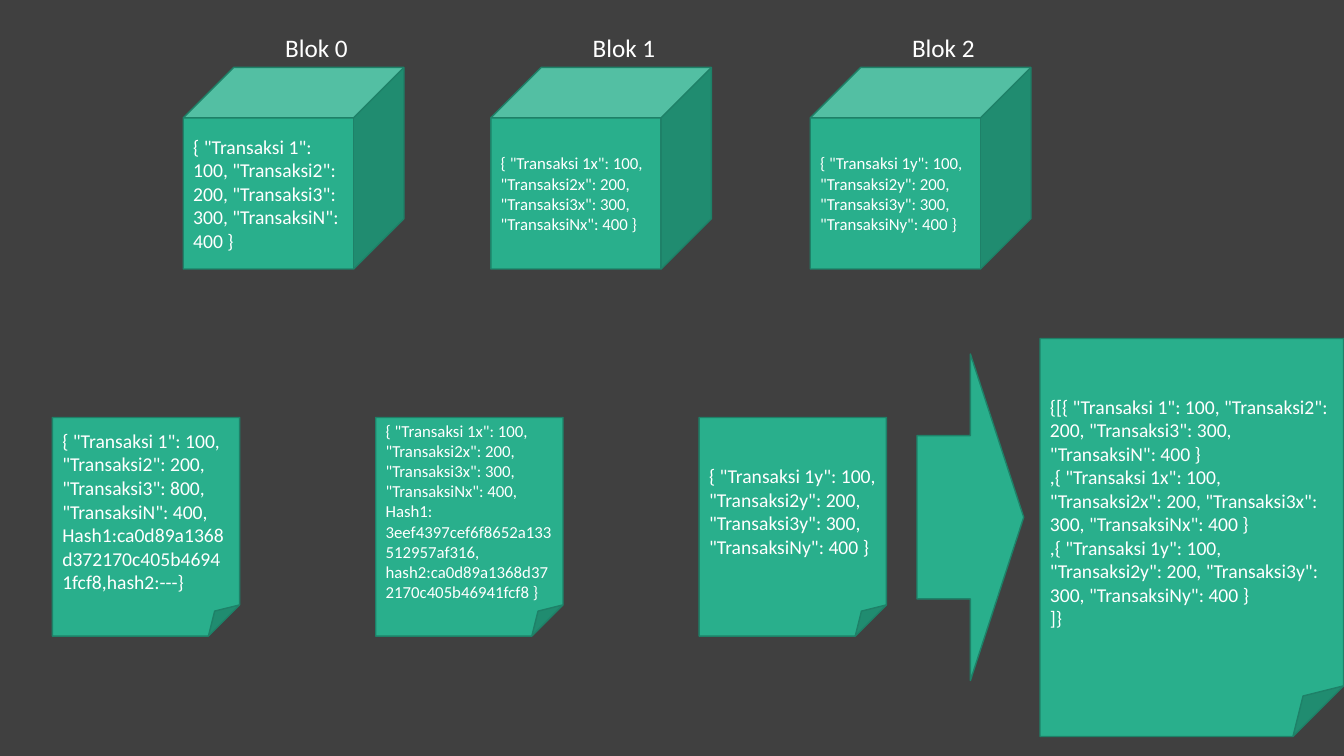
"""Build a slide showing three transaction blocks and the chain they form."""
from pptx import Presentation
from pptx.dml.color import RGBColor
from pptx.enum.shapes import MSO_SHAPE as SHAPE
from pptx.enum.text import MSO_ANCHOR as ANCHOR, PP_ALIGN as ALIGN
from pptx.util import Cm, Pt

COLORS = {"background": "404040", "fill": "29AF8C", "line": "1E8168", "text": "FFFFFF"}
FONT = "Calibri"


def add_filled_shape(kind, left, top, width, height):
    sp = slide.shapes.add_shape(kind, Cm(left), Cm(top), Cm(width), Cm(height))
    sp.shadow.inherit = False
    sp.fill.solid()
    sp.fill.fore_color.rgb = RGBColor.from_string(COLORS["fill"])
    sp.line.color.rgb = RGBColor.from_string(COLORS["line"])
    sp.line.width = Pt(1)
    return sp


def write_text(sp, lines, size, align=ALIGN.LEFT, anchor=ANCHOR.MIDDLE):
    tf = sp.text_frame
    tf.word_wrap = True
    tf.vertical_anchor = anchor
    tf.text = "\n".join(lines)
    for p in tf.paragraphs:
        p.alignment = align
        for r in p.runs:
            r.font.name = FONT
            r.font.size = Pt(size)
            r.font.color.rgb = RGBColor.from_string(COLORS["text"])


prs = Presentation()
prs.slide_width, prs.slide_height = Cm(33.87), Cm(19.05)
slide = prs.slides.add_slide(prs.slide_layouts[6])
slide.background.fill.solid()
slide.background.fill.fore_color.rgb = RGBColor.from_string(COLORS["background"])

transactions = [
    '{ "Transaksi 1": 100, "Transaksi2": 200, "Transaksi3": 300, "TransaksiN": 400 }',
    '{ "Transaksi 1x": 100, "Transaksi2x": 200, "Transaksi3x": 300, "TransaksiNx": 400 }',
    '{ "Transaksi 1y": 100, "Transaksi2y": 200, "Transaksi3y": 300, "TransaksiNy": 400 }',
]

cubes = [(4.62, 14), (12.37, 12), (20.42, 12)]
for i, (left, size) in enumerate(cubes):
    cube = add_filled_shape(SHAPE.CUBE, left, 1.7, 5.56, 5.08)
    write_text(cube, [transactions[i]], size)
    label = slide.shapes.add_textbox(Cm(left + 1.45), Cm(0.69), Cm(3.81), Cm(1.04))
    write_text(label, [f"Blok {i}"], 18, ALIGN.CENTER, ANCHOR.TOP)

notes = [
    (14, ['{ "Transaksi 1": 100, "Transaksi2": 200, "Transaksi3": 800, "TransaksiN": 400,',
          "Hash1:ca0d89a1368d372170c405b46941fcf8,hash2:---}"]),
    (12, [transactions[1].replace(" }", ","),
          "Hash1: 3eef4397cef6f8652a133512957af316, "
          "hash2:ca0d89a1368d372170c405b46941fcf8 }"]),
    (14, [transactions[2]]),
]
for i, (size, lines) in enumerate(notes):
    note = add_filled_shape(SHAPE.FOLDED_CORNER, 1.32 + i * 8.15, 10.52, 4.72, 5.51)
    write_text(note, lines, size)

chain = add_filled_shape(SHAPE.FOLDED_CORNER, 26.21, 8.53, 7.65, 10.03)
first, second, third = transactions
write_text(chain, ["{[" + first, "," + second, "," + third, "]}"], 14)

add_filled_shape(SHAPE.RIGHT_ARROW, 23.11, 8.92, 2.69, 8.23)

prs.save("out.pptx")
